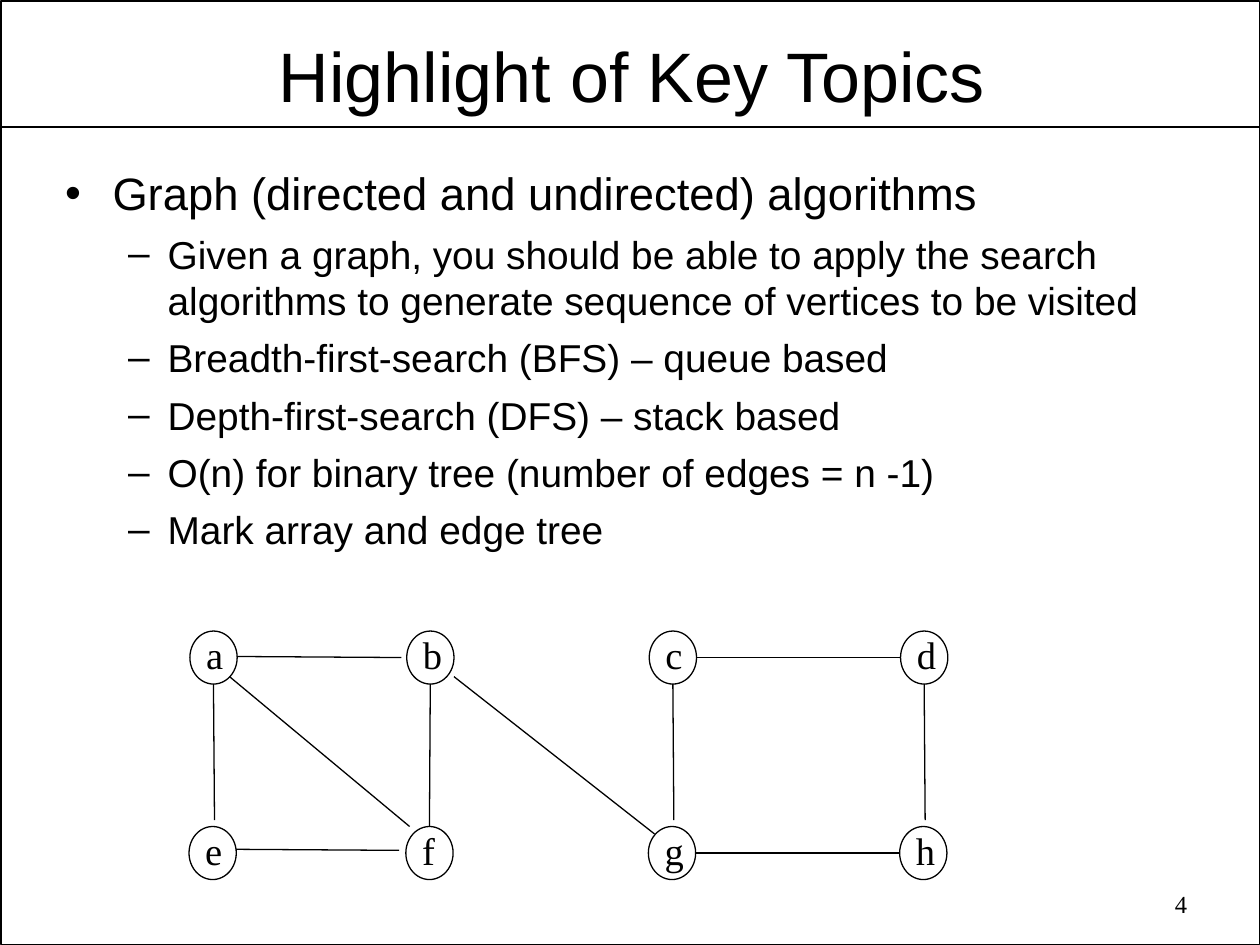
from lxml import etree
from pptx import Presentation
from pptx.dml.color import RGBColor
from pptx.enum import shapes, text
from pptx.oxml import ns
from pptx.util import Pt

COLORS = {"ink": "000000", "paper": "FFFFFF"}
SANS, SERIF = "Arial", "Times New Roman"

TITLE = "Highlight of Key Topics"
PAGE_NUMBER = "4"
TOPICS = [
    (0, "Graph (directed and undirected) algorithms"),
    (1, "Given a graph, you should be able to apply the search "
        "algorithms to generate sequence of vertices to be visited"),
    (1, "Breadth-first-search (BFS) – queue based"),
    (1, "Depth-first-search (DFS) – stack based"),
    (1, "O(n) for binary tree (number of edges = n -1)"),
    (1, "Mark array and edge tree"),
]
# Per level: bullet, left margin, hanging indent, font size, space before
LEVELS = [("•", 27, 27, 25.9, 0), ("–", 58.5, 22.5, 22.2, 6)]

# Graph: vertices by row, edges as (vertex, anchor, vertex, anchor);
# an anchor is a fraction of the vertex's width and height
VERTEX_ROWS = ["abcd", "efgh"]
COLUMN_LEFTS = [108.5, 232.4, 371, 514.6]
ROW_TOPS = [360.6, 472.3]
ROW_SHIFT = -0.5
VERTEX_W, VERTEX_H = 27, 30.3
RIGHT, LEFT, TOP, BOTTOM = (1, 0.5), (0, 0.5), (0.5, 0), (0.5, 1)
ABOVE = (0.54, -0.12)
EDGES = [
    ("a", (1, 0.48), "b", (-0.11, 0.5)),
    ("e", (1, 0.43), "f", (-0.14, 0.45)),
    ("a", BOTTOM, "e", ABOVE),
    ("a", (0.84, 0.86), "f", (0.08, 0)),
    ("b", BOTTOM, "f", TOP),
    ("b", (1, 0.86), "g", (0.13, 0.14)),
    ("c", RIGHT, "d", LEFT),
    ("d", BOTTOM, "h", ABOVE),
    ("g", RIGHT, "h", LEFT),
    ("c", BOTTOM, "g", ABOVE),
]

deck = Presentation()
deck.slide_width, deck.slide_height = Pt(720), Pt(540)
slide = deck.slides.add_slide(deck.slide_layouts[6])


def color(name):
    return RGBColor.from_string(COLORS[name])


def add_outline(preset, left, top, width, height, weight):
    outline = slide.shapes.add_shape(preset, Pt(left), Pt(top), Pt(width), Pt(height))
    outline.shadow.inherit = False
    outline.fill.background()
    outline.line.color.rgb = color("ink")
    outline.line.width = Pt(weight)


def add_line(x1, y1, x2, y2, weight):
    line = slide.shapes.add_connector(
        shapes.MSO_CONNECTOR.STRAIGHT, Pt(x1), Pt(y1), Pt(x2), Pt(y2))
    line.line.color.rgb = color("ink")
    line.line.width = Pt(weight)
    etree.SubElement(line._element.spPr, ns.qn("a:effectLst"))


def add_frame(left, top, width, height, insets=(7.2, 3.6, 7.2, 3.6)):
    frame = slide.shapes.add_textbox(Pt(left), Pt(top), Pt(width), Pt(height)).text_frame
    frame.word_wrap = True
    (frame.margin_left, frame.margin_top,
     frame.margin_right, frame.margin_bottom) = map(Pt, insets)
    return frame


def style(paragraph, font, size, align=text.PP_ALIGN.LEFT):
    paragraph.alignment = align
    for run in paragraph.runs:
        run.font.name, run.font.size = font, Pt(size)
        run.font.color.rgb = color("ink")


def add_bullet(paragraph, bullet, margin, hanging):
    props = paragraph._p.get_or_add_pPr()
    props.set("marL", str(Pt(margin)))
    props.set("indent", str(-Pt(hanging)))
    etree.SubElement(props, ns.qn("a:buFont")).set("typeface", SANS)
    etree.SubElement(props, ns.qn("a:buChar")).set("char", bullet)


# Background, page border and title rule
slide.background.fill.solid()
slide.background.fill.fore_color.rgb = color("paper")
add_outline(shapes.MSO_SHAPE.RECTANGLE, 0.75, 0.75, 719, 539, 1)
add_line(0.75, 72.75, 719.25, 72.75, 1)

# Title
title = add_frame(38, 13.7, 646, 52, (5, 5, 5, 2))
title.text = TITLE
style(title.paragraphs[0], SANS, 40, text.PP_ALIGN.CENTER)

# Topics
topics = add_frame(30.2, 91, 660, 233)
topics.text = "\n".join(topic for _, topic in TOPICS)
for paragraph, (level, _) in zip(topics.paragraphs, TOPICS):
    bullet, margin, hanging, size, before = LEVELS[level]
    add_bullet(paragraph, bullet, margin, hanging)
    paragraph.level = level
    paragraph.space_before = Pt(before)
    style(paragraph, SANS, size)

# Graph vertices
vertices = {}
for row, (names, top) in enumerate(zip(VERTEX_ROWS, ROW_TOPS)):
    for name, column_left in zip(names, COLUMN_LEFTS):
        left = column_left + row * ROW_SHIFT
        vertices[name] = left, top
        add_outline(shapes.MSO_SHAPE.OVAL, left, top, VERTEX_W, VERTEX_H, 0.75)
        label = add_frame(left + 2.2, top - 3.5, 25, 34, (7.2, 3.6, 0, 3.6))
        label.text = name
        style(label.paragraphs[0], SERIF, 22)


def anchor_point(name, anchor):
    left, top = vertices[name]
    return left + anchor[0] * VERTEX_W, top + anchor[1] * VERTEX_H


# Graph edges
for start, start_anchor, end, end_anchor in EDGES:
    add_line(*anchor_point(start, start_anchor), *anchor_point(end, end_anchor), 0.75)

# Page number
page_number = add_frame(517, 504.7, 168.5, 26)
page_number.text = PAGE_NUMBER
style(page_number.paragraphs[0], SERIF, 14, text.PP_ALIGN.RIGHT)

deck.save("out.pptx")
